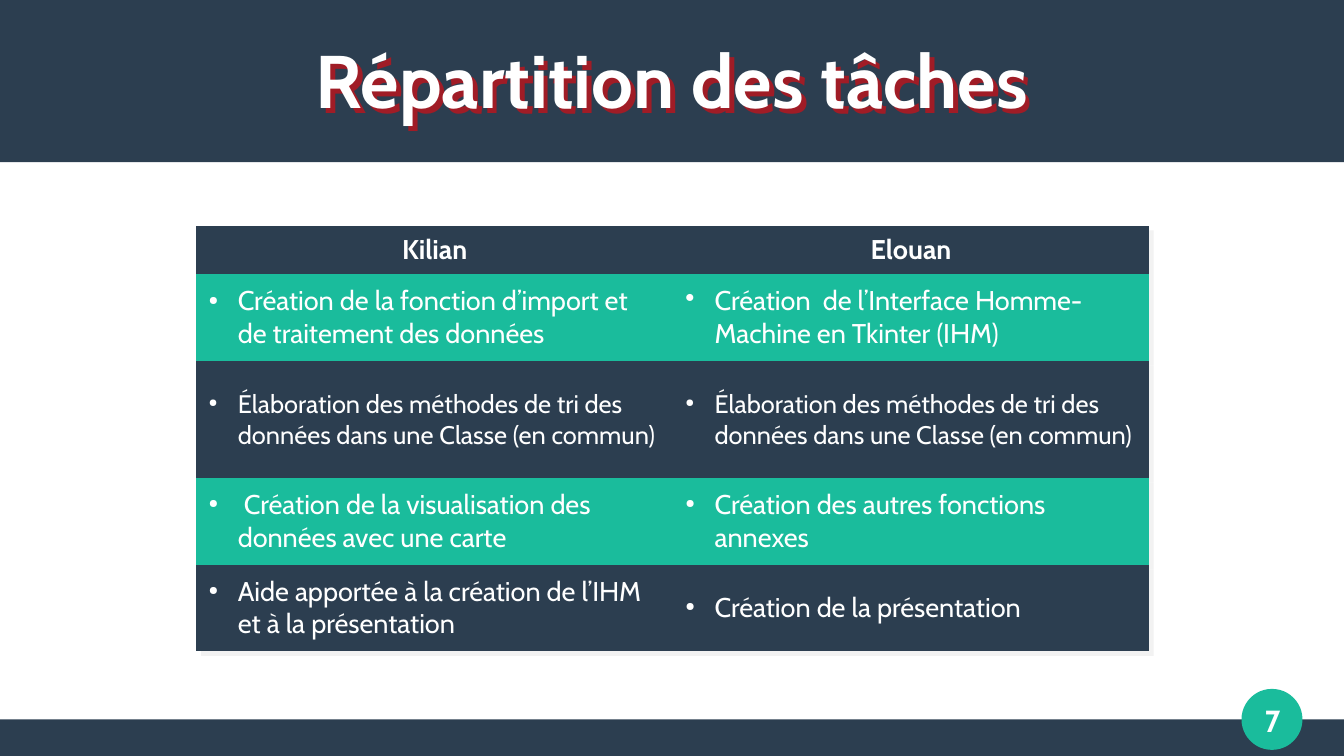
from lxml import etree
from pptx import Presentation
from pptx import util as u
from pptx.dml.color import RGBColor
from pptx.enum import shapes, text
from pptx.oxml.ns import qn

COLORS = {"navy": "2C3E50", "green": "1ABC9C", "white": "FFFFFF",
          "title_shadow": "A01C26", "table_shadow": "808080"}
FONT = "Cabin"
NO_TABLE_STYLE = "{2D5ABB26-0587-4C30-8999-92F81FD0307C}"
SLIDE_WIDTH, SLIDE_HEIGHT = 11.02, 6.2
COLUMN_WIDTHS = [3.91, 3.9]
ROW_HEIGHTS = [0.4, 0.71, 0.96, 0.71, 0.71]
PEOPLE = ["Kilian", "Elouan"]
SORTING = "Élaboration des méthodes de tri des données dans une Classe (en commun)"
TASKS = [
    ["Création de la fonction d’import et de traitement des données",
     "Création  de l’Interface Homme-Machine en Tkinter (IHM)"],
    [SORTING, SORTING],
    [" Création de la visualisation des données avec une carte",
     "Création des autres fonctions annexes"],
    ["Aide apportée à la création de l’IHM et à la présentation",
     "Création de la présentation"],
]


def color(name):
    return RGBColor.from_string(COLORS[name])


def add_element(parent, tag, **attributes):
    element = etree.SubElement(parent, qn(tag))
    for key, value in attributes.items():
        element.set(key, str(value))
    return element


def add_shadow(properties, name, opacity):
    """Add a sharp shadow, 4 points away towards the lower right."""
    for old in properties.findall(qn("a:effectLst")):
        properties.remove(old)
    effects = etree.Element(qn("a:effectLst"))
    style = properties.find(qn("a:tableStyleId"))
    if style is None:
        properties.append(effects)
    else:
        style.addprevious(effects)
    shadow = add_element(effects, "a:outerShdw", blurRad=0, dist=u.Pt(4),
                         dir=45 * 60000, algn="tl", rotWithShape=0)
    fill = add_element(shadow, "a:srgbClr", val=COLORS[name])
    add_element(fill, "a:alpha", val=opacity * 1000)


def add_bullet(paragraph, character, percent):
    properties = paragraph._p.get_or_add_pPr()
    properties.set("marL", str(u.Inches(0.24)))
    properties.set("indent", str(-u.Inches(0.24)))
    bullet_color = add_element(properties, "a:buClr")
    add_element(bullet_color, "a:srgbClr", val=COLORS["white"])
    add_element(properties, "a:buSzPct", val=percent * 1000)
    add_element(properties, "a:buChar", char=character)


def write(frame, content, size=16, bold=False, align=text.PP_ALIGN.CENTER,
          bullet=None):
    paragraph = frame.paragraphs[0]
    paragraph.alignment = align
    if bullet:
        add_bullet(paragraph, *bullet)
    run = paragraph.add_run()
    run.text = content
    run.font.name = FONT
    run.font.size = u.Pt(size)
    run.font.bold = bold
    run.font.color.rgb = color("white")


def add_block(slide, kind, box, fill):
    shape = slide.shapes.add_shape(kind, *map(u.Inches, box))
    shape.shadow.inherit = False
    shape.fill.solid()
    shape.fill.fore_color.rgb = color(fill)
    shape.line.fill.background()
    return shape


def add_label(slide, box, content, size):
    shape = slide.shapes.add_textbox(*map(u.Inches, box))
    frame = shape.text_frame
    frame.word_wrap = True
    frame.vertical_anchor = text.MSO_ANCHOR.MIDDLE
    frame.margin_left = frame.margin_right = 0
    frame.margin_top = frame.margin_bottom = 0
    write(frame, content, size=size, bold=True)
    return shape


def fill_cell(cell, fill, content, **text_format):
    cell.fill.solid()
    cell.fill.fore_color.rgb = color(fill)
    cell.vertical_anchor = text.MSO_ANCHOR.MIDDLE
    write(cell.text_frame, content, **text_format)


def add_task_table(slide):
    frame = slide.shapes.add_table(
        len(ROW_HEIGHTS), len(COLUMN_WIDTHS), u.Inches(1.61), u.Inches(1.85),
        u.Inches(sum(COLUMN_WIDTHS)), u.Inches(sum(ROW_HEIGHTS)))
    table = frame.table
    properties = table._tbl.tblPr
    properties.find(qn("a:tableStyleId")).text = NO_TABLE_STYLE
    add_shadow(properties, "table_shadow", 10)
    for column, width in zip(table.columns, COLUMN_WIDTHS):
        column.width = u.Inches(width)
    for row, height in zip(table.rows, ROW_HEIGHTS):
        row.height = u.Inches(height)

    # Header row
    for index, person in enumerate(PEOPLE):
        fill_cell(table.cell(0, index), "navy", person, bold=True)

    # Task rows in alternating colours
    for row, tasks in enumerate(TASKS, start=1):
        for column, task in enumerate(tasks):
            bullet = ("•", 100) if (row, column) == (1, 1) else ("●", 45)
            fill_cell(table.cell(row, column), "green" if row % 2 else "navy",
                      task, size=15 if task == SORTING else 16,
                      align=text.PP_ALIGN.LEFT, bullet=bullet)


def main():
    presentation = Presentation()
    presentation.slide_width = u.Inches(SLIDE_WIDTH)
    presentation.slide_height = u.Inches(SLIDE_HEIGHT)
    slide = presentation.slides.add_slide(presentation.slide_layouts[6])

    # Footer and header bands
    rectangle = shapes.MSO_SHAPE.RECTANGLE
    add_block(slide, rectangle, (0, 5.9, SLIDE_WIDTH, 0.3), "navy")
    add_block(slide, rectangle, (0, 0, SLIDE_WIDTH, 1.33), "navy")

    # Page number
    add_block(slide, shapes.MSO_SHAPE.OVAL, (10.18, 5.65, 0.5, 0.5), "green")
    add_label(slide, (10.04, 5.61, 0.79, 0.59), "7", 18)

    # Title and table
    title = add_label(slide, (0.39, 0.25, 10.24, 0.79),
                      "Répartition des tâches", 44)
    add_shadow(title._element.spPr, "title_shadow", 100)
    add_task_table(slide)

    presentation.save("out.pptx")


if __name__ == "__main__":
    main()
